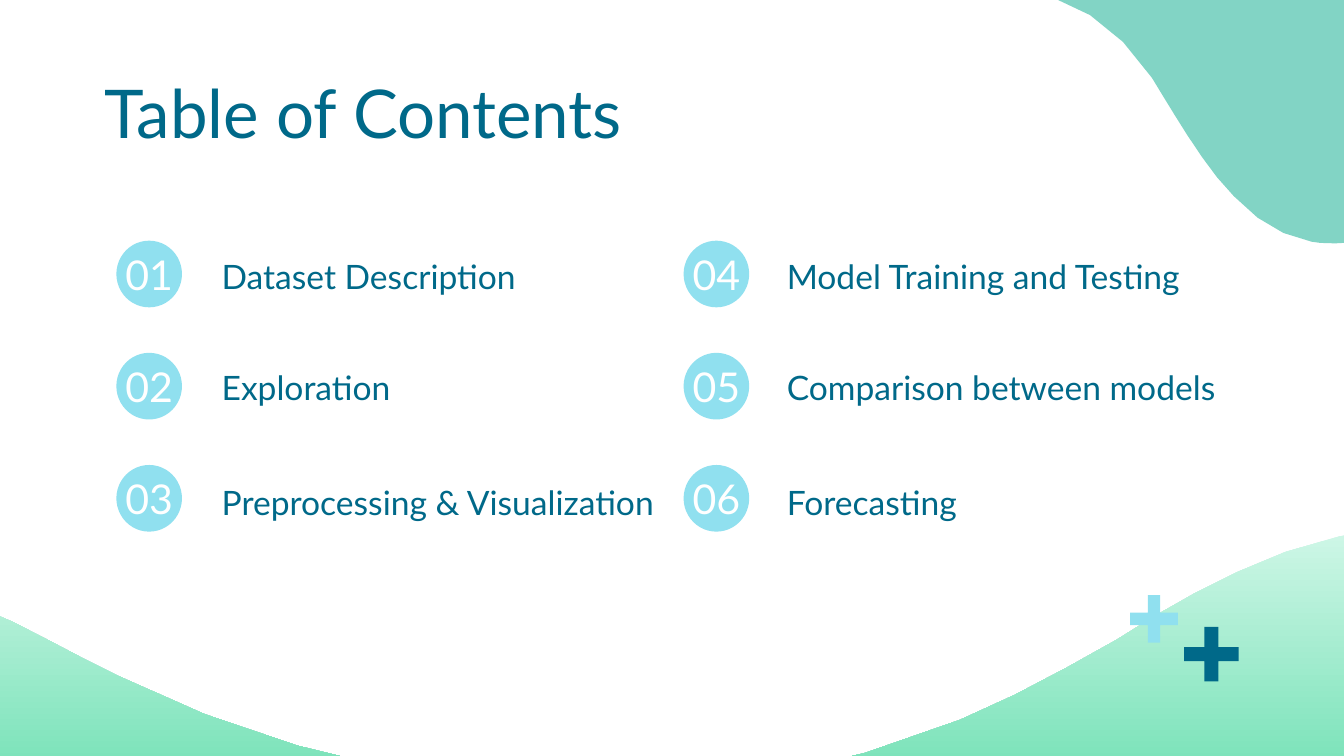
import dataclasses

import pptx
import pptx.dml.color
import pptx.enum.shapes
import pptx.enum.text
import pptx.util

Cm = pptx.util.Cm
Shapes = pptx.enum.shapes.MSO_SHAPE
Anchor = pptx.enum.text.MSO_ANCHOR
Align = pptx.enum.text.PP_ALIGN


@dataclasses.dataclass(frozen=True)
class Theme:
    font: str = "Lato"
    title_size: int = 36
    number_size: int = 22
    label_size: int = 18
    dark: str = "006989"
    light: str = "90E0EF"
    teal: str = "82D4C5"
    white: str = "FFFFFF"
    wave_top: str = "D1F7E8"
    wave_bottom: str = "68DEAF"


def rgb(value):
    return pptx.dml.color.RGBColor.from_string(value)


def trace(start, segments, steps=3):
    """Turn line ends (x, y) and cubic curves (x1, y1, x2, y2, x, y) into points."""
    points = [start]
    for segment in segments:
        if len(segment) == 2:
            points.append(segment)
            continue
        controls = [points[-1], segment[0:2], segment[2:4], segment[4:6]]
        for step in range(1, steps + 1):
            t = step / steps
            weights = ((1 - t) ** 3, 3 * t * (1 - t) ** 2, 3 * t**2 * (1 - t), t**3)
            points.append(tuple(
                sum(weight * control[axis] for weight, control in zip(weights, controls))
                for axis in (0, 1)
            ))
    return points


class SlideBuilder:
    def __init__(self, slide, theme):
        self.slide = slide
        self.theme = theme

    def finish(self, shape, colors):
        """Fill with one colour, or with a top-to-bottom gradient of two."""
        shape.shadow.inherit = False
        shape.line.fill.background()
        if len(colors) == 1:
            shape.fill.solid()
            shape.fill.fore_color.rgb = rgb(colors[0])
            return
        shape.fill.gradient()
        shape.fill.gradient_angle = 270
        for stop, position, color in zip(shape.fill.gradient_stops, (0, 1), colors):
            stop.position = position
            stop.color.rgb = rgb(color)

    def outline(self, start, segments, *colors):
        points = [(Cm(x), Cm(y)) for x, y in trace(start, segments)]
        builder = self.slide.shapes.build_freeform(*points[0])
        builder.add_line_segments(points[1:], close=True)
        self.finish(builder.convert_to_shape(), colors)

    def preset(self, kind, left, top, width, height, color):
        shape = self.slide.shapes.add_shape(
            kind, Cm(left), Cm(top), Cm(width), Cm(height))
        self.finish(shape, [color])
        return shape

    def plus(self, left, top, size, color):
        shape = self.preset(Shapes.CROSS, left, top, size, size, color)
        shape.adjustments[0] = 0.37

    def text(self, text, left, top, width, height, size, color,
             anchor=Anchor.TOP, align=Align.LEFT):
        box = self.slide.shapes.add_textbox(Cm(left), Cm(top), Cm(width), Cm(height))
        frame = box.text_frame
        frame.word_wrap = True
        frame.margin_left = frame.margin_right = 0
        frame.margin_top = frame.margin_bottom = 0
        frame.vertical_anchor = anchor
        frame.text = text
        paragraph = frame.paragraphs[0]
        paragraph.alignment = align
        font = paragraph.runs[0].font
        font.name = self.theme.font
        font.size = pptx.util.Pt(size)
        font.color.rgb = rgb(color)


WAVE_START = (27.08, 9.91)
WAVE = [
    (26.85, 9.93, 26.64, 9.96, 26.42, 9.96),
    (25.27, 10.08, 24.26, 10.39, 23.37, 10.82),
    (22.56, 11.2, 21.82, 11.63, 21.11, 12.09),
    (20.17, 12.62, 19.23, 13.16, 18.14, 13.61),
    (16.38, 14.33, 14.5, 14.78, 12.4, 14.91),
    (12.01, 14.94, 11.63, 14.94, 11.25, 14.94),
    (9.98, 14.94, 8.74, 14.81, 7.49, 14.55),
    (5.56, 14.17, 3.81, 13.56, 2.24, 12.78),
    (1.55, 12.45, 0.91, 12.09, 0.25, 11.76),
    (-0.48, 11.43, -1.22, 11.13, -2.11, 10.95),
    (-2.49, 10.85, -2.87, 10.8, -3.25, 10.8),
    (-3.78, 10.8, -4.29, 10.9, -4.78, 11.18),
    (-4.78, 15.49),
    (27.08, 15.49),
]

CORNER_START = (19.74, -0.18)
CORNER = [
    (27.08, -0.18),
    (27.08, 3.99),
    (26.97, 4.04),
    (26.75, 4.22, 26.49, 4.34, 26.21, 4.42),
    (25.91, 4.55, 25.58, 4.6, 25.25, 4.6),
    (25.1, 4.6, 24.94, 4.6, 24.79, 4.57),
    (24.23, 4.47, 23.75, 4.17, 23.32, 3.71),
    (22.99, 3.38, 22.71, 2.97, 22.43, 2.54),
    (22.2, 2.18, 21.99, 1.83, 21.77, 1.47),
    (21.26, 0.71, 20.65, 0.2, 19.89, -0.05),
    (19.74, -0.1),
]

# Circle left, label left and topics of each column
COLUMNS = [
    (2.2, 4.19, ["Dataset Description", "Exploration",
                 "Preprocessing & Visualization"]),
    (12.92, 14.87, ["Model Training and Testing", "Comparison between models",
                    "Forecasting"]),
]
LABEL_TOPS = [4.84, 6.93, 9.12]
CIRCLE_TOP, ROW_PITCH = 4.55, 2.12
CIRCLE_WIDTH, CIRCLE_HEIGHT = 1.24, 1.26
NUMBER_WIDTH, NUMBER_HEIGHT = 2, 1.5


def main():
    presentation = pptx.Presentation()
    presentation.slide_width = Cm(25.4)
    presentation.slide_height = Cm(14.29)
    theme = Theme()
    builder = SlideBuilder(
        presentation.slides.add_slide(presentation.slide_layouts[6]), theme)

    # Background decoration
    builder.outline(WAVE_START, WAVE, theme.wave_top, theme.wave_bottom)
    builder.outline(CORNER_START, CORNER, theme.teal)
    builder.plus(22.38, 11.85, 1.03, theme.dark)
    builder.plus(21.36, 11.25, 0.9, theme.light)

    # Title
    builder.text("Table of Contents", 1.98, 1.34, 21.44, 1.52,
                 theme.title_size, theme.dark)

    # Numbered topics
    number = 0
    for circle_left, label_left, topics in COLUMNS:
        for row, topic in enumerate(topics):
            number += 1
            circle_top = CIRCLE_TOP + row * ROW_PITCH
            builder.preset(Shapes.OVAL, circle_left, circle_top,
                           CIRCLE_WIDTH, CIRCLE_HEIGHT, theme.light)
            builder.text(f"{number:02}",
                         circle_left + (CIRCLE_WIDTH - NUMBER_WIDTH) / 2,
                         circle_top + (CIRCLE_HEIGHT - NUMBER_HEIGHT) / 2,
                         NUMBER_WIDTH, NUMBER_HEIGHT,
                         theme.number_size, theme.white, Anchor.MIDDLE, Align.CENTER)
            builder.text(topic, label_left, LABEL_TOPS[row], 8.71, 0.76,
                         theme.label_size, theme.dark, Anchor.BOTTOM)

    presentation.save("out.pptx")


if __name__ == "__main__":
    main()
